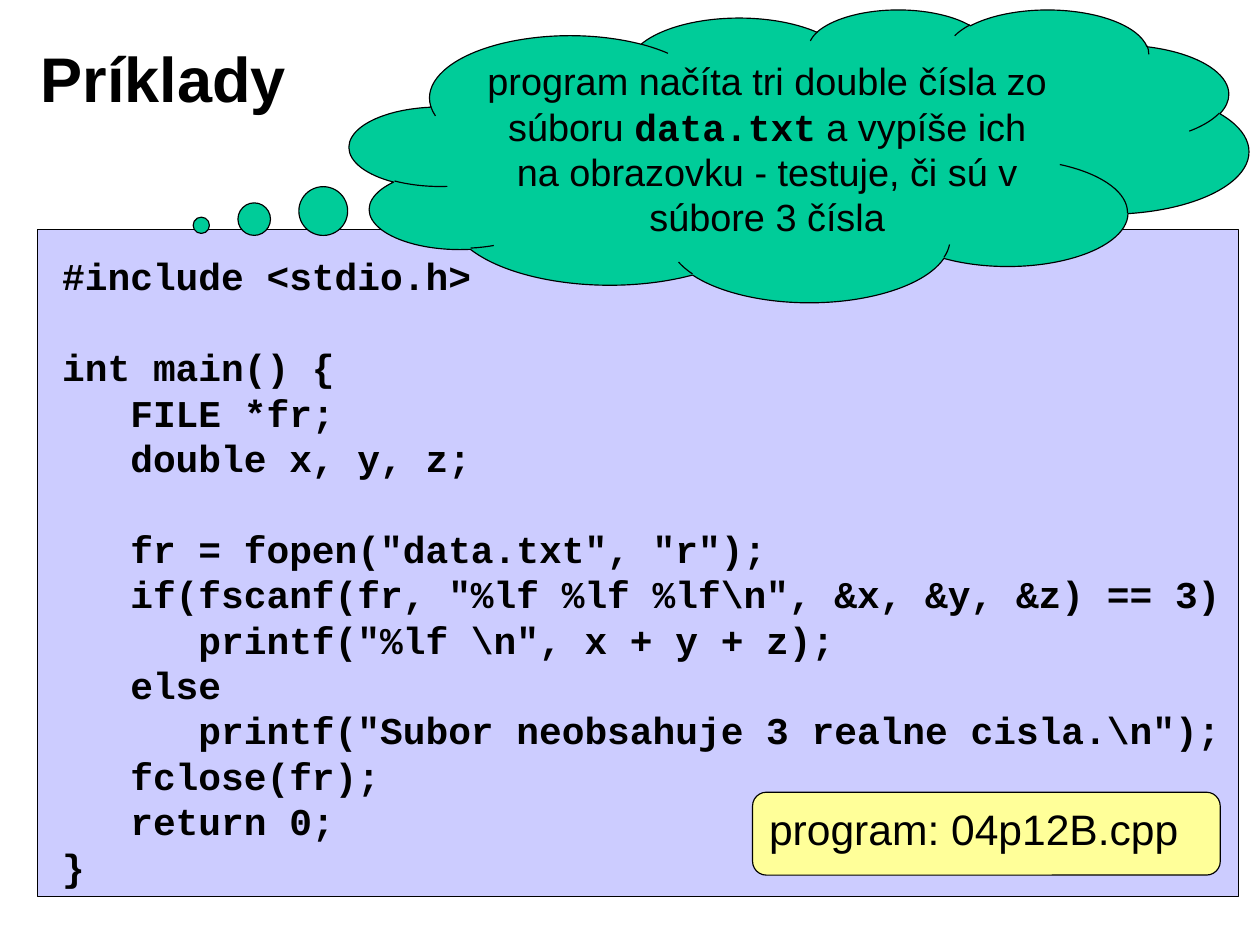
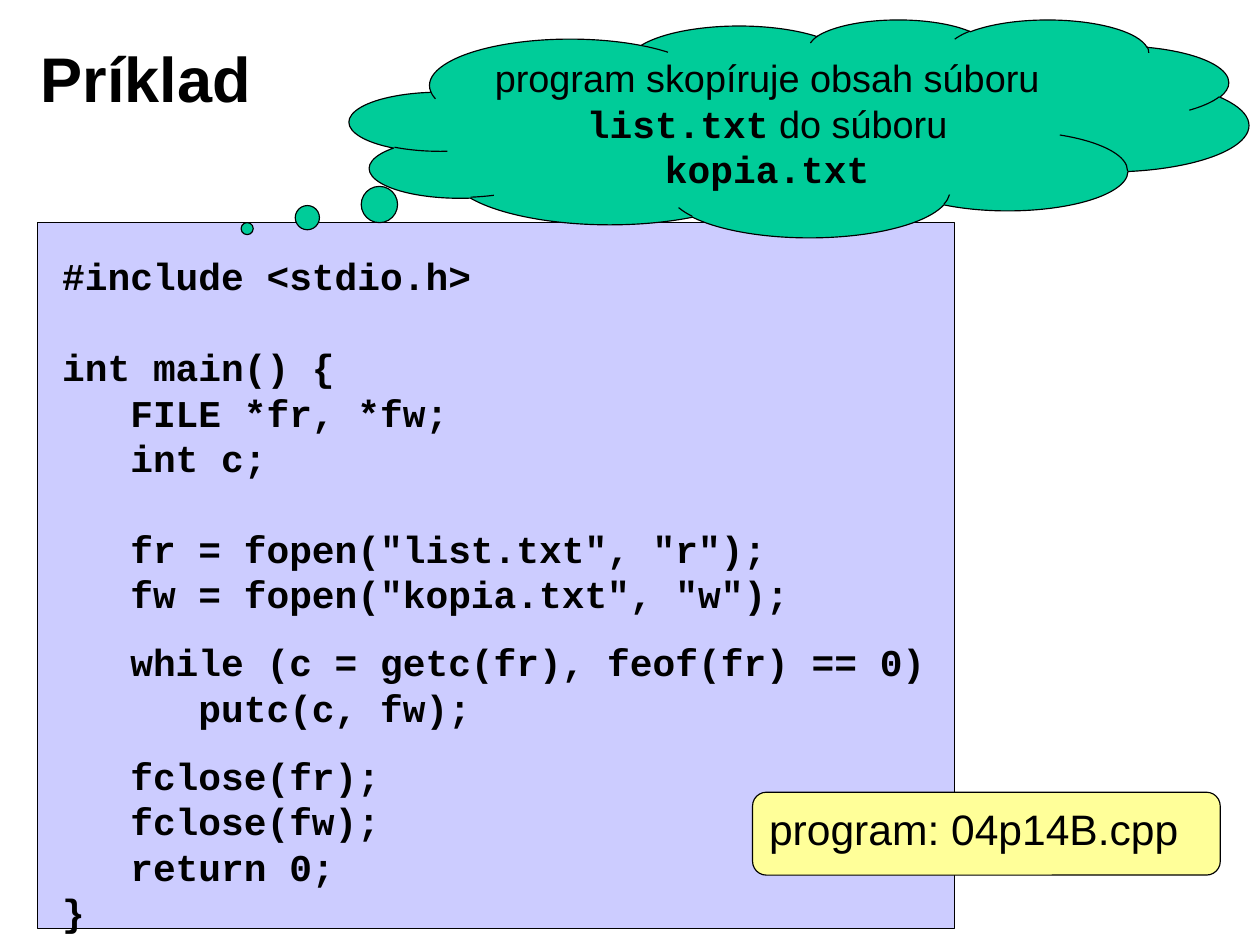
from pptx import Presentation
from pptx.dml.color import RGBColor
from pptx.enum.shapes import MSO_SHAPE
from pptx.enum.text import MSO_ANCHOR, MSO_AUTO_SIZE, PP_ALIGN
from pptx.util import Inches, Pt

# Shared look
WIDE, HIGH = Inches(11.1), Inches(8.3)
BLACK, LILAC, GREEN, CREAM = "000000", "CCCCFF", "00CC99", "FFFF99"
HEAD = {"name": "Arial", "size": Pt(40), "bold": True}
PLAIN = {"name": "Arial", "size": Pt(24), "bold": False}
CODE = {"name": "Courier New", "size": Pt(24), "bold": True}
TAG = {"name": "Arial", "size": Pt(27), "bold": False}
LEAD = 1.2  # line pitch as a share of the text size
SNUG = {"margin_left": Inches(0.11), "margin_right": Inches(0.11),
        "margin_top": Inches(0.06), "margin_bottom": Inches(0.06)}

# Each code line is (gap before in lines, text); boxes are percent of the slide
PAGES = [
    {"title": "Príklady",
     "panel": (2.97, 24.34, 95.32, 70.84),
     "code": (4.05, 26.27, 96.31, 69.4),
     "cloud": (27.75, 0.96, 71.35, 31.08),
     "tail": (-0.665, 0.239),
     "note": [("program načíta tri double čísla zo súboru ", PLAIN),
              ("data.txt", CODE),
              (" a vypíše ich na obrazovku - testuje, či sú v súbore 3 čísla",
               PLAIN)],
     "lines": [(0, "#include <stdio.h>"),
               (1, "int main() {"),
               (0, "   FILE *fr;"),
               (0, "   double x, y, z;"),
               (1, '   fr = fopen("data.txt", "r");'),
               (0, '   if(fscanf(fr, "%lf %lf %lf\\n", &x, &y, &z) == 3)'),
               (0, '      printf("%lf \\n", x + y + z);'),
               (0, "   else"),
               (0, '      printf("Subor neobsahuje 3 realne cisla.\\n");'),
               (0, "   fclose(fr);"),
               (0, "   return 0;"),
               (0, "}")],
     "tag": "program: 04p12B.cpp"},
    {"title": "Príklad",
     "panel": (2.97, 23.61, 72.79, 74.94),
     "code": (4.05, 26.27, 70.81, 74.22),
     "cloud": (27.75, 2.05, 71.35, 23.13),
     "tail": (-0.614, 0.461),
     "note": [("program skopíruje obsah súboru ", PLAIN),
              ("list.txt", CODE),
              (" do súboru ", PLAIN),
              ("kopia.txt", CODE)],
     "lines": [(0, "#include <stdio.h>"),
               (1, "int main() {"),
               (0, "   FILE *fr, *fw;"),
               (0, "   int c;"),
               (1, '   fr = fopen("list.txt", "r");'),
               (0, '   fw = fopen("kopia.txt", "w");'),
               (0.5, "   while (c = getc(fr), feof(fr) == 0)"),
               (0, "      putc(c, fw);"),
               (0.5, "   fclose(fr);"),
               (0, "   fclose(fw);"),
               (0, "   return 0;"),
               (0, "}")],
     "tag": "program: 04p14B.cpp"},
]
TITLE_BOX = (2.25, 2.05, 80.36, 12.29)
TAG_BOX = (59.73, 84.1, 37.12, 8.8)


def tint(code):
    return RGBColor.from_string(code)


def write(para, runs, align=PP_ALIGN.LEFT, gap=0):
    pitch = runs[0][1]["size"].pt * LEAD
    para.alignment = align
    para.line_spacing = Pt(pitch)
    para.space_before = Pt(gap * pitch)
    for text, look in runs:
        run = para.add_run()
        run.text = text
        run.font.color.rgb = tint(BLACK)
        for key, value in look.items():
            setattr(run.font, key, value)


deck = Presentation()
deck.slide_width, deck.slide_height = WIDE, HIGH

for page in PAGES:
    slide = deck.slides.add_slide(deck.slide_layouts[5])
    shapes = slide.shapes

    # Shapes from back to front
    title = shapes.title
    panel = shapes.add_shape(MSO_SHAPE.RECTANGLE, 0, 0, 0, 0)
    code = shapes.add_textbox(0, 0, 0, 0)
    cloud = shapes.add_shape(MSO_SHAPE.CLOUD_CALLOUT, 0, 0, 0, 0)
    tag = shapes.add_shape(MSO_SHAPE.ROUNDED_RECTANGLE, 0, 0, 0, 0)

    # Places
    for shape, box in ((title, TITLE_BOX), (panel, page["panel"]),
                       (code, page["code"]), (cloud, page["cloud"]),
                       (tag, TAG_BOX)):
        sides = zip(("left", "top", "width", "height"), box,
                    (WIDE, HIGH, WIDE, HIGH))
        for side, share, whole in sides:
            setattr(shape, side, round(whole * share / 100))

    # Fills and outlines
    for shape, fill in ((panel, LILAC), (cloud, GREEN), (tag, CREAM)):
        shape.shadow.inherit = False
        shape.fill.solid()
        shape.fill.fore_color.rgb = tint(fill)
        shape.line.color.rgb = tint(BLACK)
        shape.line.width = Pt(0.75)
    cloud.adjustments[0], cloud.adjustments[1] = page["tail"]

    # Text frames
    for shape, anchor, room in ((title, MSO_ANCHOR.MIDDLE, SNUG),
                                (code, MSO_ANCHOR.TOP, {}),
                                (cloud, MSO_ANCHOR.MIDDLE, {}),
                                (tag, MSO_ANCHOR.TOP, SNUG)):
        frame = {"word_wrap": True, "auto_size": MSO_AUTO_SIZE.NONE,
                 "vertical_anchor": anchor, **room}
        for key, value in frame.items():
            setattr(shape.text_frame, key, value)

    # Wording
    write(title.text_frame.paragraphs[0], [(page["title"], HEAD)])
    write(cloud.text_frame.paragraphs[0], page["note"], PP_ALIGN.CENTER)
    write(tag.text_frame.paragraphs[0], [(page["tag"], TAG)])
    for row, (gap, text) in enumerate(page["lines"]):
        body = code.text_frame
        para = body.add_paragraph() if row else body.paragraphs[0]
        write(para, [(text, CODE)], gap=gap)

deck.save("out.pptx")
